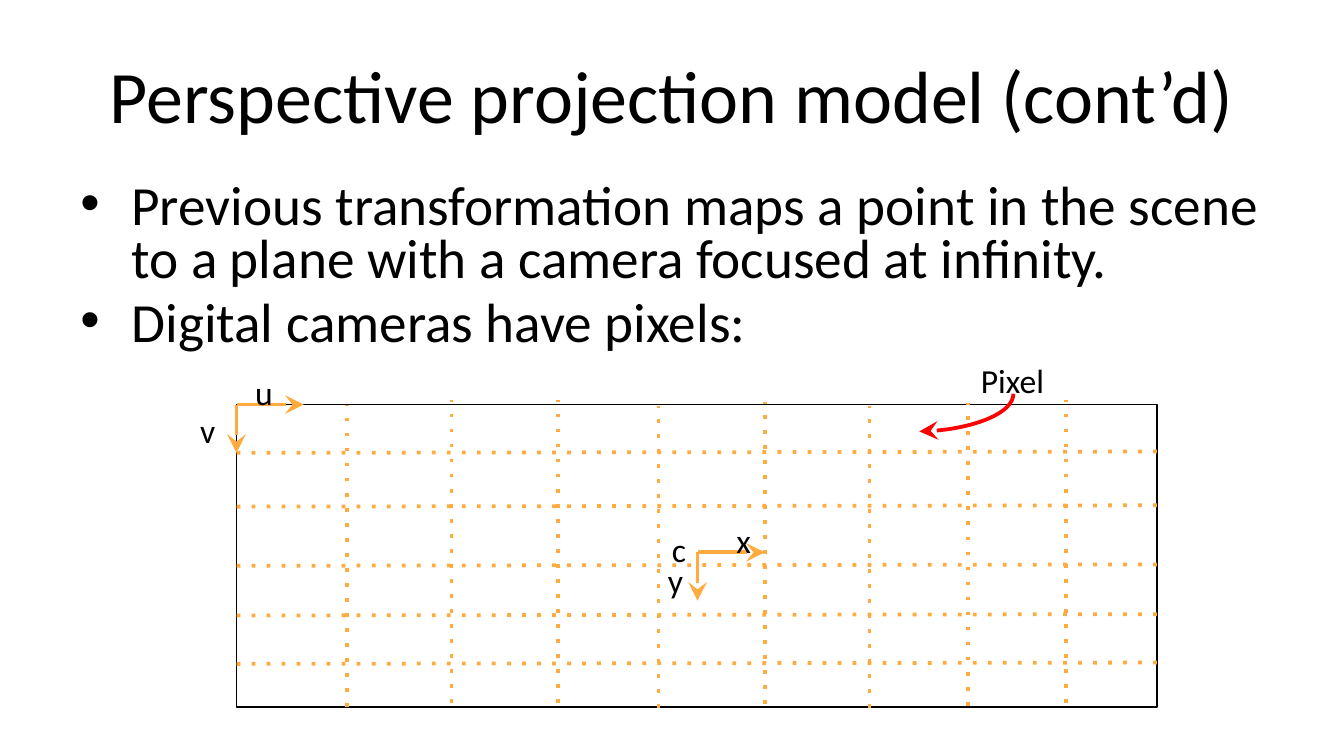
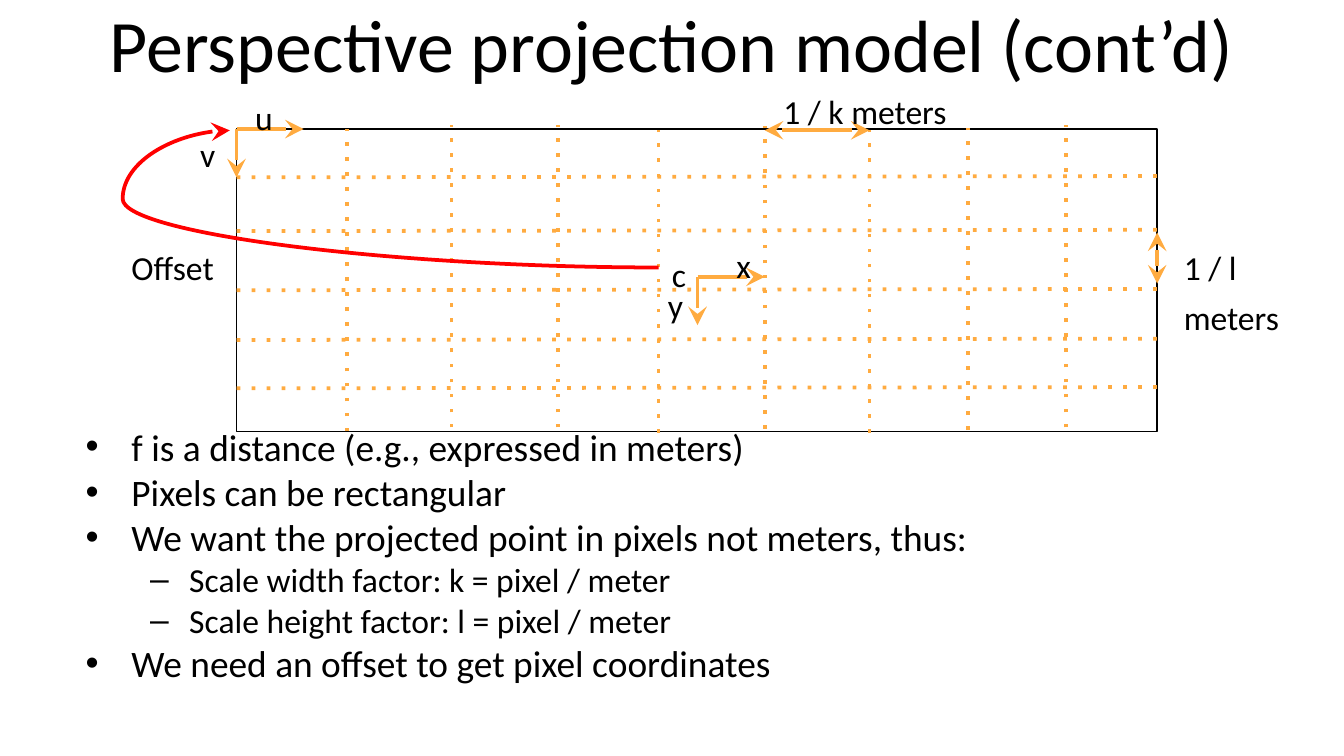
from pptx import Presentation
from pptx import util as u
from pptx.dml.color import RGBColor
from pptx.enum import shapes, text
from pptx.oxml.ns import qn
from lxml import etree

BLACK = RGBColor(0x00, 0x00, 0x00)
ORANGE = RGBColor(0xFF, 0xAB, 0x40)
RED = RGBColor(0xFF, 0x00, 0x00)
FONT = "Calibri"
TITLE = "Perspective projection model (cont’d)"

PAGE_WIDTH = 10
PAGE_HEIGHT = PAGE_WIDTH * 9 / 16
GRID_LEFT, GRID_WIDTH, GRID_HEIGHT = 1.76, 6.85, 2.25
GRID_RIGHT = GRID_LEFT + GRID_WIDTH
ROW_OFFSETS = (0.36, 0.76, 1.2, 1.57, 1.93)
# Each column: x, and how far its top sits below the frame's top edge
COLUMNS = ((2.58, 0), (3.36, -0.03), (4.15, -0.03), (4.9, 0.01),
           (5.69, -0.02), (6.47, 0.01), (7.2, -0.01), (7.93, -0.03))
# Each axis label: wording, x, and offset from the frame's top edge
AXIS_LABELS = (("u", 1.8, -0.29), ("v", 1.39, -0.01), ("x", 5.38, 0.81),
               ("y", 4.87, 1.11), ("c", 4.9, 0.88))


def set_all(target, **values):
    for name, value in values.items():
        setattr(target, name, value)


def add_xml(parent, tag, **attributes):
    return etree.SubElement(parent, qn(tag), attributes)


class Sketch:
    """Holds the deck, its shared style and the slide being drawn."""

    def __init__(self):
        self.deck = Presentation()
        set_all(self.deck, slide_width=u.Inches(PAGE_WIDTH),
                slide_height=u.Inches(PAGE_HEIGHT))
        self.page = None

    def new_page(self, title_top, title_height):
        self.page = self.deck.slides.add_slide(self.deck.slide_layouts[6])
        frame = self.text_frame(0.5, title_top, 9, title_height,
                                vertical_anchor=text.MSO_ANCHOR.MIDDLE)
        para = frame.paragraphs[0]
        para.alignment = text.PP_ALIGN.CENTER
        self.span(para, TITLE, 39.6)

    def text_frame(self, left, top, width, height, **values):
        box = self.page.shapes.add_textbox(*map(u.Inches, (left, top, width, height)))
        set_all(box.text_frame, **{"word_wrap": True, **values})
        return box.text_frame

    def span(self, para, words, size):
        span = para.add_run()
        span.text = words
        set_all(span.font, name=FONT, size=u.Pt(size))
        span.font.color.rgb = BLACK

    def label(self, words, left, top, width=0.32):
        frame = self.text_frame(left, top, width, 0.3, word_wrap=False)
        self.span(frame.paragraphs[0], words, 18)

    def bullets(self, top, height, items, styles):
        """Each item is (level, words); styles give size, space, indent and hang by level."""
        frame = self.text_frame(0.5, top, 9, height)
        for index, (level, words) in enumerate(items):
            para = frame.add_paragraph() if index else frame.paragraphs[0]
            size, space, indent, hang = styles[level]
            set_all(para, level=level, line_spacing=0.8,
                    space_before=u.Pt(space if index else 0))
            self.span(para, words, size)
            properties = para._p.get_or_add_pPr()
            properties.set("marL", str(u.Inches(indent)))
            properties.set("indent", str(-u.Inches(hang)))
            add_xml(add_xml(properties, "a:buClr"), "a:srgbClr", val=str(BLACK))
            add_xml(properties, "a:buFont", typeface="Arial")
            add_xml(properties, "a:buChar", char="•–"[level])

    def frame(self, top):
        box = self.page.shapes.add_shape(
            shapes.MSO_SHAPE.RECTANGLE,
            *map(u.Inches, (GRID_LEFT, top, GRID_WIDTH, GRID_HEIGHT)))
        box.shadow.inherit = False
        box.fill.background()
        box.line.color.rgb = BLACK
        box.line.width = u.Pt(0.75)

    def connector(self, x1, y1, x2, y2, color=ORANGE, dotted=False, ends=(),
                  kind=shapes.MSO_CONNECTOR.STRAIGHT):
        """Draw a line; ends lists headEnd and tailEnd where arrowheads belong."""
        line = self.page.shapes.add_connector(kind, *map(u.Inches, (x1, y1, x2, y2)))
        line.line.color.rgb = color
        line.line.width = u.Pt(2)
        outline = line.line._get_or_add_ln()
        if dotted:
            add_xml(outline, "a:prstDash", val="dot")
        for end in ends:
            add_xml(outline, f"a:{end}", type="stealth", w="lg", len="lg")
        add_xml(line._element.spPr, "a:effectLst")
        return line

    def arrow(self, x1, y1, x2, y2, both=False):
        ends = ("headEnd", "tailEnd") if both else ("tailEnd",)
        self.connector(x1, y1, x2, y2, ends=ends)

    def curve(self, left, top, width, height, degrees, preset, bend=None):
        """Draw a red curved arrow, turned about the middle of its box."""
        line = self.connector(left, top, left + width, top + height, RED,
                              ends=("tailEnd",), kind=shapes.MSO_CONNECTOR.CURVE)
        properties = line._element.spPr
        properties.find(qn("a:xfrm")).set("rot", str(degrees * 60000))
        geometry = properties.find(qn("a:prstGeom"))
        geometry.set("prst", preset)
        if bend:
            add_xml(geometry.find(qn("a:avLst")), "a:gd",
                    name="adj1", fmla=f"val {round(bend * 100000)}")

    def pixel_grid(self, top):
        self.frame(top)
        for offset in ROW_OFFSETS:
            y = top + offset
            self.connector(GRID_LEFT, y, GRID_RIGHT, y - 0.01, dotted=True)
        for x, y in ((GRID_LEFT, top), (5.19, top + 1.1)):
            self.arrow(x, y, x + 0.5, y)
            self.arrow(x, y, x, y + 0.36)
        for words, x, offset in AXIS_LABELS:
            self.label(words, x, top + offset)
        for x, shift in COLUMNS:
            y = top + shift
            self.connector(x, y + GRID_HEIGHT, x, y, dotted=True)


def draw_pixels(sketch):
    sketch.new_page(0.23, 0.94)
    sketch.bullets(1.31, 1.45, (
        (0, "Previous transformation maps a point in the scene "
            "to a plane with a camera focused at infinity."),
        (0, "Digital cameras have pixels:"),
    ), ((29.6, 5.9, 0.38, 0.38),))
    sketch.pixel_grid(3.01)
    sketch.label("Pixel", 7.2, 2.63, 0.68)
    sketch.curve(7.05, 2.72, 0.28, 0.7, 90, "curvedConnector2")


def draw_scale_and_offset(sketch):
    sketch.new_page(0.02, 0.6)
    sketch.bullets(3.17, 1.85, (
        (0, "f is a distance (e.g., expressed in meters)"),
        (0, "Pixels can be rectangular"),
        (0, "We want the projected point in pixels not meters, thus:"),
        (1, "Scale width factor: k = pixel / meter"),
        (1, "Scale height factor: l = pixel / meter"),
        (0, "We need an offset to get pixel coordinates"),
    ), ((20, 5, 0.38, 0.34), (18, 4.3, 0.81, 0.29)))
    sketch.pixel_grid(0.96)
    sketch.curve(1.71, 0.97, 3.19, 1.02, 180, "curvedConnector3", bend=1.25)
    sketch.label("Offset", 0.88, 1.79, 0.83)
    sketch.label("1 / l", 8.71, 1.79, 0.6)
    sketch.arrow(GRID_RIGHT, 1.73, GRID_RIGHT, 2.11, both=True)
    sketch.label("meters", 8.71, 2.16, 0.93)
    sketch.arrow(5.69, 0.97, 6.47, 0.97, both=True)
    sketch.label("1 / k meters", 5.73, 0.63, 1.44)


def main():
    sketch = Sketch()
    draw_pixels(sketch)
    draw_scale_and_offset(sketch)
    sketch.deck.save("out.pptx")


if __name__ == "__main__":
    main()
